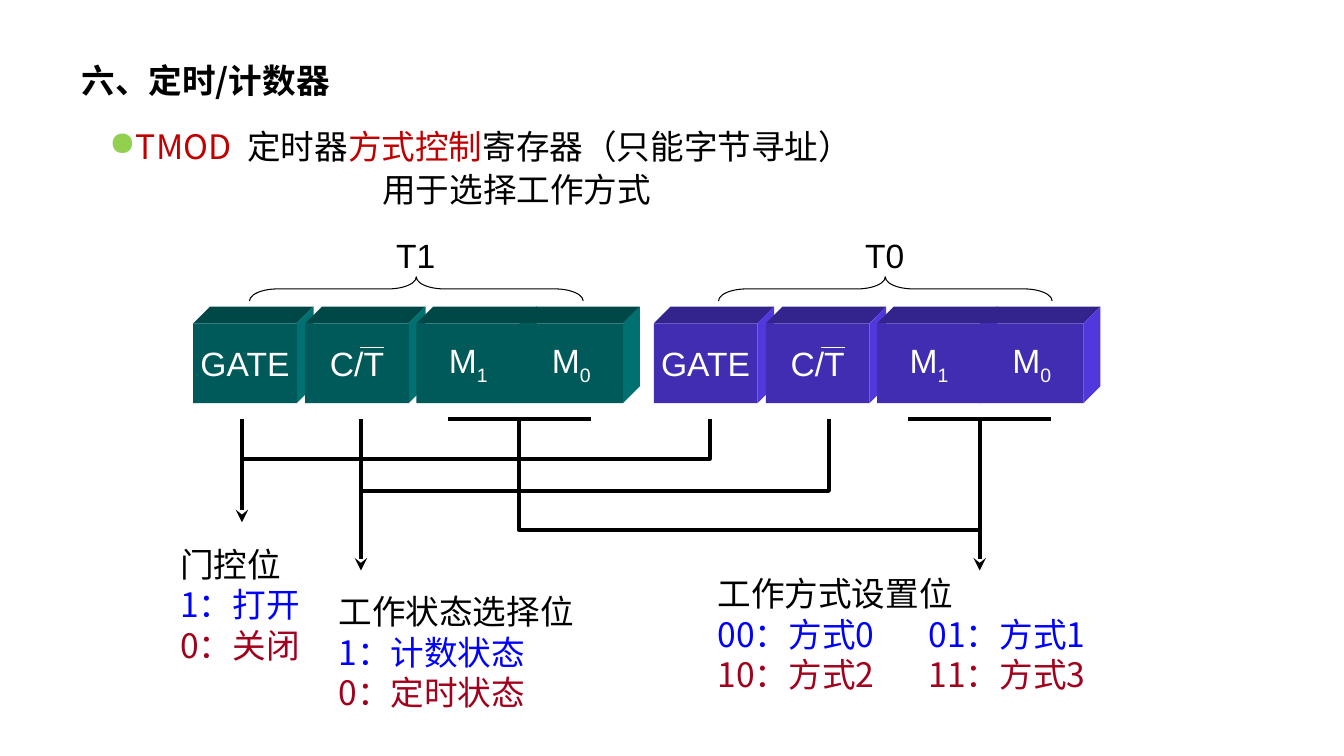
from pptx import Presentation
from pptx.dml.color import RGBColor
from pptx.enum.shapes import MSO_CONNECTOR, MSO_SHAPE
from pptx.enum.text import MSO_ANCHOR, PP_ALIGN
from pptx.oxml.ns import qn
from pptx.util import Pt
from lxml import etree

LEFT, MID = PP_ALIGN.LEFT, PP_ALIGN.CENTER
TOP, HALF = MSO_ANCHOR.TOP, MSO_ANCHOR.MIDDLE
RECT, BRACE = MSO_SHAPE.RECTANGLE, MSO_SHAPE.RIGHT_BRACE
LINE = MSO_CONNECTOR.STRAIGHT
BLACK = RGBColor(0, 0, 0)
WHITE = RGBColor(255, 255, 255)
RED = RGBColor(0xC0, 0, 0)
WINE = RGBColor(0xA1, 0x01, 0x1C)
BLUE = RGBColor(0, 0, 0xFF)
TEAL = [RGBColor(0, 0x5A, 0x5A), RGBColor(0, 0x48, 0x48), RGBColor(0, 0x70, 0x70)]
PLUM = [RGBColor(0x41, 0x2D, 0xB2), RGBColor(0x33, 0x23, 0x8D), RGBColor(0x50, 0x39, 0xDC)]
SANS, HAN = "Arial", "Noto Sans CJK SC"

deck = Presentation()
deck.slide_width, deck.slide_height = Pt(960), Pt(540)
slide = deck.slides.add_slide(deck.slide_layouts[5])
shapes = slide.shapes


def write(frame, lines, face, form, bold=False):
    for index, line in enumerate(lines):
        para = frame.paragraphs[0] if index == 0 else frame.add_paragraph()
        for name, value in form.items():
            setattr(para, name, value)
        for text, color, base in line:
            run = para.add_run()
            run.text = text
            look = {"name": face, "size": Pt(24), "bold": bold}
            for name, value in look.items():
                setattr(run.font, name, value)
            run.font.color.rgb = color
            props = run._r.get_or_add_rPr()
            etree.SubElement(props, qn("a:ea")).set("typeface", face)
            if base:
                props.set("baseline", str(base))


def trace(points, close):
    spots = [(Pt(x), Pt(y)) for x, y in points]
    pen = shapes.build_freeform(*spots[0])
    pen.add_line_segments(spots[1:], close=close)
    shape = pen.convert_to_shape()
    shape.shadow.inherit = False
    return shape


HAN_FORM = {"alignment": LEFT, "line_spacing": Pt(29), "space_before": Pt(0)}
LEAD_FORM = {"alignment": LEFT, "line_spacing": Pt(30.7), "space_before": Pt(0)}
MID_FORM = {"alignment": MID, "space_before": Pt(0)}

title = shapes.title
title.left, title.top, title.width, title.height = Pt(51), Pt(39), Pt(265), Pt(36)
title.text_frame.vertical_anchor = TOP
title.text_frame.word_wrap = True
write(title.text_frame, [[("六、定时/计数器", BLACK, 0)]], SANS and HAN, HAN_FORM, True)

lead = shapes.add_textbox(Pt(78), Pt(88), Pt(555), Pt(66)).text_frame
for name in ("margin_left", "margin_top", "margin_right", "margin_bottom"):
    setattr(lead, name, 0)
lead.word_wrap = True
props = lead.paragraphs[0]._p.get_or_add_pPr()
props.set("marL", str(Pt(13)))
props.set("indent", str(-Pt(13)))
tint = etree.SubElement(props, qn("a:buClr"))
etree.SubElement(tint, qn("a:srgbClr")).set("val", "92D050")
etree.SubElement(props, qn("a:buChar")).set("char", "●")
tabs = etree.SubElement(props, qn("a:tabLst"))
stop = etree.SubElement(tabs, qn("a:tab"))
stop.set("pos", str(Pt(98.6)))
stop.set("algn", "l")
write(lead, [
    [("TMOD\t", RED, 0), ("定时器", BLACK, 0), ("方式控制", RED, 0),
     ("寄存器（只能字节寻址）", BLACK, 0)],
    [("用于选择工作方式", BLACK, 0)],
], HAN, LEAD_FORM)
lead.paragraphs[1]._p.get_or_add_pPr().set("marL", str(Pt(195)))

FIELDS = [(0, "GATE", ""), (80, "C/T", ""), (159.5, "M", "1"), (233, "M", "0")]
WIDE, TALL, DEEP, HEAD = 74, 57, 12, 231
rules = []
for group, left, shift, shades in [("T1", 138, 0, TEAL), ("T0", 467, 335, PLUM)]:
    front, roof, side = shades
    for step, text, sub in FIELDS:
        x, end, foot = left + step, left + step + WIDE, HEAD + TALL
        faces = [
            (roof, [(x, HEAD), (x + DEEP, HEAD - DEEP), (end + DEEP, HEAD - DEEP), (end, HEAD)]),
            (side, [(end, HEAD), (end + DEEP, HEAD - DEEP), (end + DEEP, foot - DEEP), (end, foot)]),
        ]
        for shade, points in faces:
            face = trace(points, True)
            face.fill.solid()
            face.fill.fore_color.rgb = shade
            face.line.fill.background()
        cell = shapes.add_shape(RECT, Pt(x), Pt(HEAD), Pt(WIDE), Pt(TALL))
        cell.shadow.inherit = False
        cell.fill.solid()
        cell.fill.fore_color.rgb = front
        cell.line.fill.background()
        cell.text_frame.word_wrap = False
        cell.text_frame.vertical_anchor = HALF
        runs = [(text, WHITE, 0)] + ([(sub, WHITE, -25000)] if sub else [])
        write(cell.text_frame, [runs], SANS, MID_FORM)
    rules += [
        (left + 119.5, 248.4, left + 136.5, 248.4, WHITE, 0.75, False),
        (left + 181.7, 299.5, left + 284, 299.5, BLACK, 3, False),
    ]
    label = shapes.add_textbox(Pt(246 + shift), Pt(164), Pt(102), Pt(36)).text_frame
    label.word_wrap = True
    write(label, [[(group, BLACK, 0)]], SANS, MID_FORM)
    brace = shapes.add_shape(BRACE, Pt(288.7 + shift), Pt(87.2), Pt(17.3), Pt(238.3))
    brace.rotation = 270
    brace.adjustments[0] = 1.16
    brace.shadow.inherit = False
    brace.fill.background()
    brace.line.color.rgb = BLACK
    brace.line.width = Pt(0.75)

for x, foot in [(172.8, 373), (257.8, 407.5), (699.8, 407.5)]:
    rules.append((x, 299.5, x, foot, BLACK, 3, True))
for x, y, end, foot, color, size, arrow in rules:
    rule = shapes.add_connector(LINE, Pt(x), Pt(y), Pt(end), Pt(foot))
    rule.line.color.rgb = color
    rule.line.width = Pt(size)
    if arrow:
        etree.SubElement(rule.line._get_or_add_ln(), qn("a:tailEnd")).set("type", "stealth")
    etree.SubElement(rule._element.spPr, qn("a:effectLst"))

for x, y, end in [(507, 327.6, 172.8), (592, 350.6, 257.8), (371, 378.7, 699.8)]:
    elbow = trace([(x, 299.5), (x, y), (end, y)], False)
    elbow.fill.background()
    elbow.line.color.rgb = BLACK
    elbow.line.width = Pt(3)

NOTES = [
    (121.7, 384.5, 108, "门控位", "1：打开", "0：关闭"),
    (234.7, 418.5, 250, "工作状态选择位", "1：计数状态", "0：定时状态"),
    (505.5, 405.5, 312, "工作方式设置位", "00：方式0\t01：方式1", "10：方式2\t11：方式3"),
]
for x, y, wide, name, high, low in NOTES:
    note = shapes.add_textbox(Pt(x), Pt(y), Pt(wide), Pt(94)).text_frame
    note.word_wrap = True
    for index in range(2):
        note.add_paragraph()
    lines = [(name, BLACK), (high, BLUE), (low, WINE)]
    for para, (text, color) in zip(note.paragraphs, lines):
        if "\t" in text:
            tabs = etree.SubElement(para._p.get_or_add_pPr(), qn("a:tabLst"))
            stop = etree.SubElement(tabs, qn("a:tab"))
            stop.set("pos", str(Pt(150.7)))
            stop.set("algn", "l")
        for key, value in HAN_FORM.items():
            setattr(para, key, value)
        run = para.add_run()
        run.text = text
        run.font.name, run.font.size = HAN, Pt(24)
        run.font.color.rgb = color
        etree.SubElement(run._r.get_or_add_rPr(), qn("a:ea")).set("typeface", HAN)

deck.save("out.pptx")
